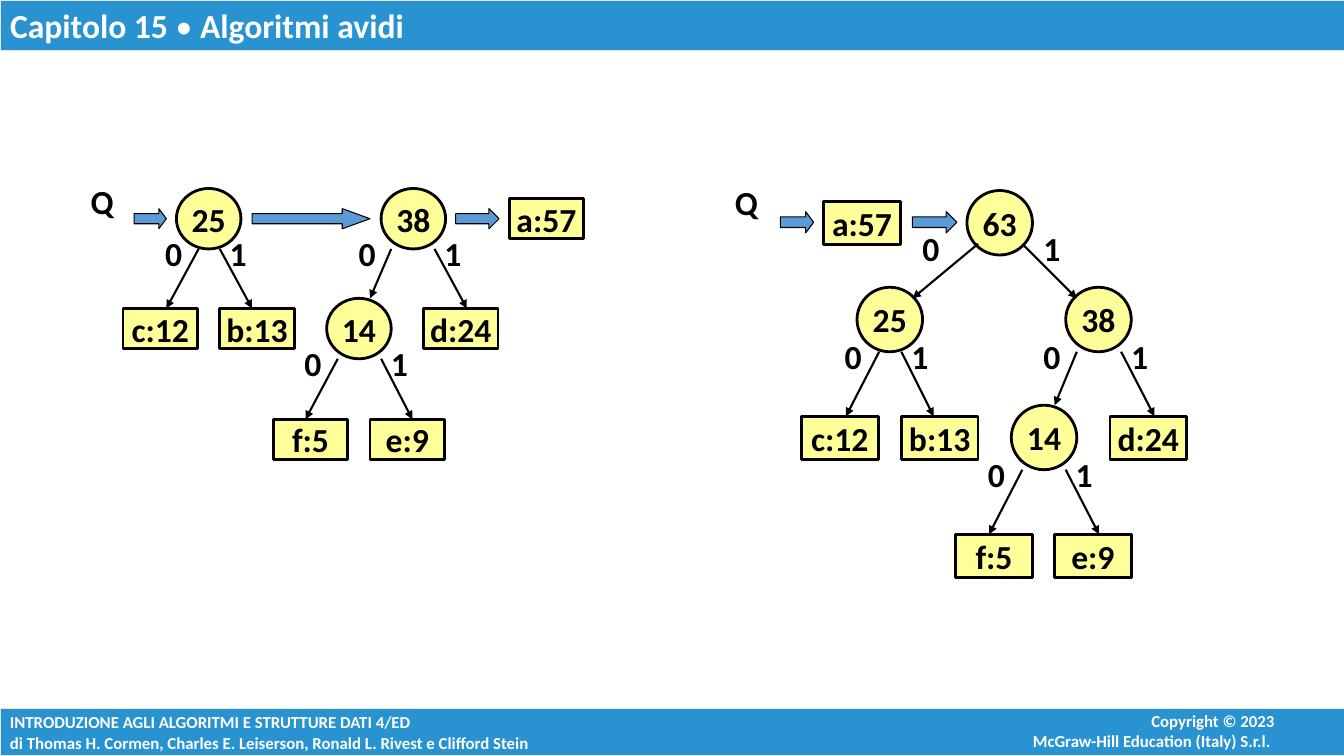
from pptx import Presentation
from pptx.dml.color import RGBColor
from pptx.enum.shapes import MSO_CONNECTOR, MSO_SHAPE
from pptx.enum.text import MSO_ANCHOR, MSO_AUTO_SIZE, PP_ALIGN
from pptx.oxml.ns import qn
from pptx.util import Inches, Pt
from lxml import etree

RECT, OVAL, ARROW = MSO_SHAPE.RECTANGLE, MSO_SHAPE.OVAL, MSO_SHAPE.RIGHT_ARROW
STRAIGHT = MSO_CONNECTOR.STRAIGHT
LEFT, CENTER, RIGHT = PP_ALIGN.LEFT, PP_ALIGN.CENTER, PP_ALIGN.RIGHT
TOP, MIDDLE = MSO_ANCHOR.TOP, MSO_ANCHOR.MIDDLE
NO_FIT = MSO_AUTO_SIZE.NONE

COLORS = {"band": "2993D1", "band_edge": "E7E6E6", "node": "FFFF99",
          "arrow": "5B9BD5", "ink": "000000", "white": "FFFFFF"}
LABEL_RISE = 0.24  # a bit's box starts this far above its edge

# Each branch: bit, edge start x, edge end x, bit x, child, child x
TREES = [
    {"leaf": (0.74, 0.4), "circle": (0.64, 0.6), "queue": (0.8, 1.64),
     "roots": [("25", 1.75, 1.87), ("38", 3.78, 1.87), ("a:57", 5.05, 1.97)],
     "arrows": [(1.33, 2.07, 0.32, 0.2, 0.375), (2.5, 2.07, 1.17, 0.2, 1.375),
                (4.52, 2.07, 0.43, 0.2, 0.5)],
     # Level: edge start y, circle top, leaf top, edge end inside a circle
     "levels": [
         (2.47, 2.96, 3.06, 0, [
             ("0", 1.97, 1.65, 1.54, "c:12", 1.22),
             ("1", 2.18, 2.5, 2.18, "b:13", 2.18),
             ("0", 3.88, 3.67, 3.46, "14", 3.24),
             ("1", 4.31, 4.63, 4.31, "d:24", 4.2)]),
         (3.56, None, 4.16, 0, [
             ("0", 3.35, 3.03, 2.92, "f:5", 2.71),
             ("1", 3.78, 4.09, 3.78, "e:9", 3.67)])]},
    {"leaf": (0.76, 0.43), "circle": (0.65, 0.64), "queue": (7.19, 1.65),
     "roots": [("a:57", 8.17, 2), ("63", 9.59, 1.89)],
     "arrows": [(7.74, 2.1, 0.33, 0.21, 0.375), (9.05, 2.1, 0.44, 0.21, 0.5)],
     "levels": [
         (2.42, 2.85, None, 0.11, [
             ("0", 9.7, 9.05, 9.05, "25", 8.5),
             ("1", 10.14, 10.68, 10.25, "38", 10.57)]),
         (3.49, 4.02, 4.13, 0, [
             ("0", 8.72, 8.39, 8.28, "c:12", 7.95),
             ("1", 8.94, 9.26, 8.94, "b:13", 8.94),
             ("0", 10.68, 10.46, 10.25, "14", 10.03),
             ("1", 11.12, 11.45, 11.12, "d:24", 11.01)]),
         (4.66, None, 5.3, 0, [
             ("0", 10.14, 9.81, 9.7, "f:5", 9.48),
             ("1", 10.57, 10.9, 10.57, "e:9", 10.46)])]},
]


def write(para, text, size=24, color="ink", bold=True, align=LEFT):
    """Append one formatted span to a paragraph."""
    para.alignment = align
    span = para.add_run()
    span.text = text
    span.font.name = "Calibri"
    span.font.size = Pt(size)
    span.font.bold = bold
    span.font.color.rgb = RGBColor.from_string(COLORS[color])


class Page:
    def __init__(self, deck):
        self.slide = deck.slides.add_slide(deck.slide_layouts[5])
        self.shapes = self.slide.shapes

    def paint(self, box, fill, edge, width):
        box.fill.solid()
        box.fill.fore_color.rgb = RGBColor.from_string(COLORS[fill])
        box.line.color.rgb = RGBColor.from_string(COLORS[edge])
        box.line.width = Pt(width)

    def frame(self, box, anchor=MIDDLE, wrap=False):
        frame = box.text_frame
        frame.auto_size = NO_FIT
        frame.word_wrap = wrap
        frame.vertical_anchor = anchor
        return frame

    def shape(self, kind, x, y, w, h, fill, edge="ink", width=2):
        box = self.shapes.add_shape(kind, Inches(x), Inches(y), Inches(w), Inches(h))
        box.shadow.inherit = False
        self.paint(box, fill, edge, width)
        return box

    def text_box(self, x, y, w, h, **options):
        box = self.shapes.add_textbox(Inches(x), Inches(y), Inches(w), Inches(h))
        return self.frame(box, **options)

    def title(self, x, y, w, h, spans):
        box = self.shapes.title
        box.left, box.top, box.width, box.height = (Inches(v) for v in (x, y, w, h))
        self.paint(box, "band", "band_edge", 0.75)
        para = self.frame(box, TOP, True).paragraphs[0]
        for text, bold in spans:
            write(para, text, color="white", bold=bold)

    def lines(self, frame, texts, align=LEFT):
        for index, text in enumerate(texts):
            para = frame.add_paragraph() if index else frame.paragraphs[0]
            write(para, text, size=12, color="white", align=align)

    def node(self, tree, text, x, y):
        kind, size = (RECT, tree["leaf"]) if ":" in text else (OVAL, tree["circle"])
        box = self.shape(kind, x, y, *size, "node")
        write(self.frame(box).paragraphs[0], text, align=CENTER)

    def label(self, text, x, y, w=0.4, h=0.57):
        write(self.text_box(x, y, w, h).paragraphs[0], text)

    def edge(self, x1, y1, x2, y2):
        line = self.shapes.add_connector(
            STRAIGHT, Inches(x1), Inches(y1), Inches(x2), Inches(y2))
        line.line.color.rgb = RGBColor.from_string(COLORS["ink"])
        line.line.width = Pt(1.5)
        etree.SubElement(line.line._get_or_add_ln(), qn("a:tailEnd"), type="triangle")
        etree.SubElement(line._element.spPr, qn("a:effectLst"))

    def arrow(self, x, y, w, h, head):
        box = self.shape(ARROW, x, y, w, h, "arrow", width=0.75)
        box.adjustments[0], box.adjustments[1] = 0.5, head

    def tree(self, tree):
        for root in tree["roots"]:
            self.node(tree, *root)
        for start_y, circle_y, leaf_y, overlap, branches in tree["levels"]:
            for bit, start_x, end_x, bit_x, child, child_x in branches:
                child_y = leaf_y if ":" in child else circle_y
                self.node(tree, child, child_x, child_y)
                self.edge(start_x, start_y, end_x, child_y + overlap)
                self.label(bit, bit_x, start_y - LABEL_RISE)
        self.label("Q", *tree["queue"], w=0.5, h=0.7)
        for arrow in tree["arrows"]:
            self.arrow(*arrow)


def main():
    deck = Presentation()
    deck.slide_width, deck.slide_height = Inches(13.33), Inches(7.5)
    page = Page(deck)

    # Title and footer bands
    page.title(0, 0, 13.35, 0.5,
               [("Capitolo 15 ", True), ("•", False), (" Algoritmi avidi", True)])
    footer = page.shape(RECT, 0, 7.03, 13.35, 0.47, "band", "band_edge", 0.75)
    page.lines(page.frame(footer), [
        "INTRODUZIONE AGLI ALGORITMI E STRUTTURE DATI 4/ED",
        "di Thomas H. Cormen, Charles E. Leiserson, Ronald L. Rivest e Clifford Stein"])
    page.lines(page.text_box(8.89, 7, 3.85, 0.5, anchor=TOP, wrap=True),
               ["Copyright © 2023", "McGraw-Hill Education (Italy) S.r.l. "], RIGHT)

    # Queue before and after the merge
    for tree in TREES:
        page.tree(tree)

    deck.save("out.pptx")


if __name__ == "__main__":
    main()
